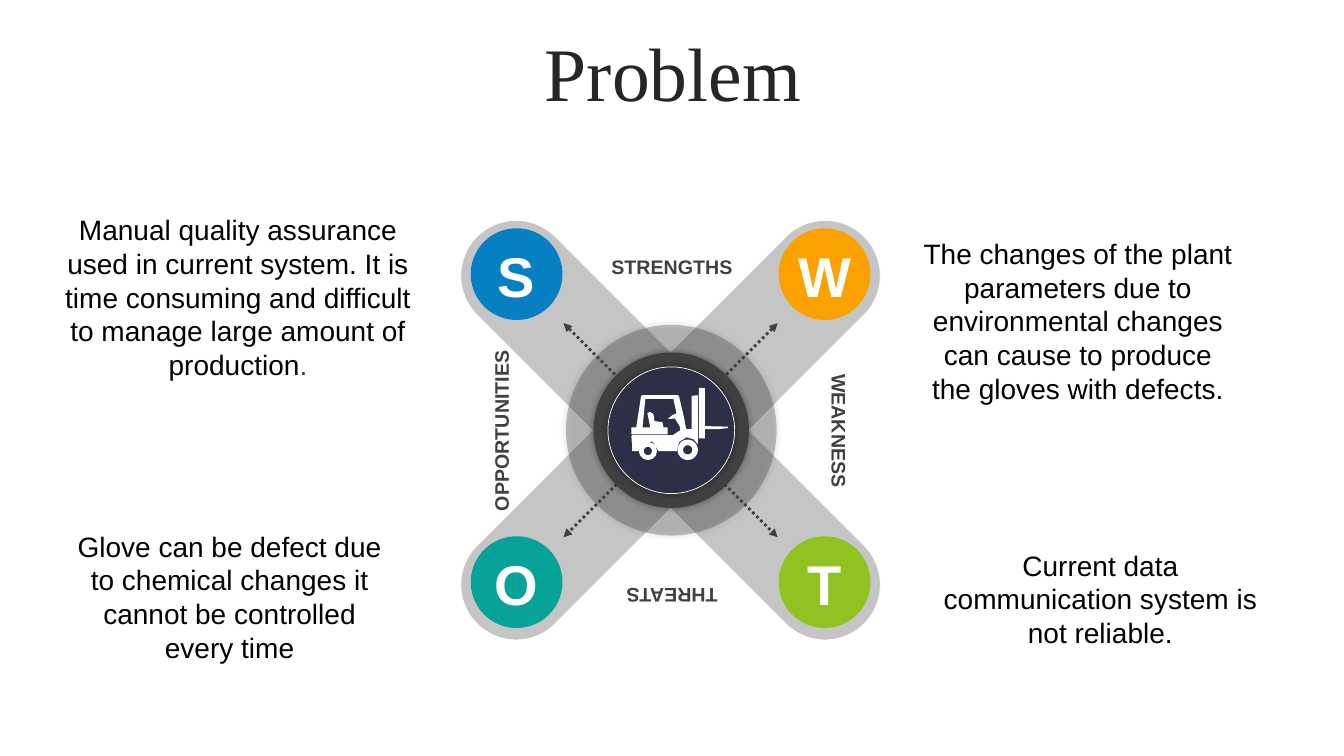
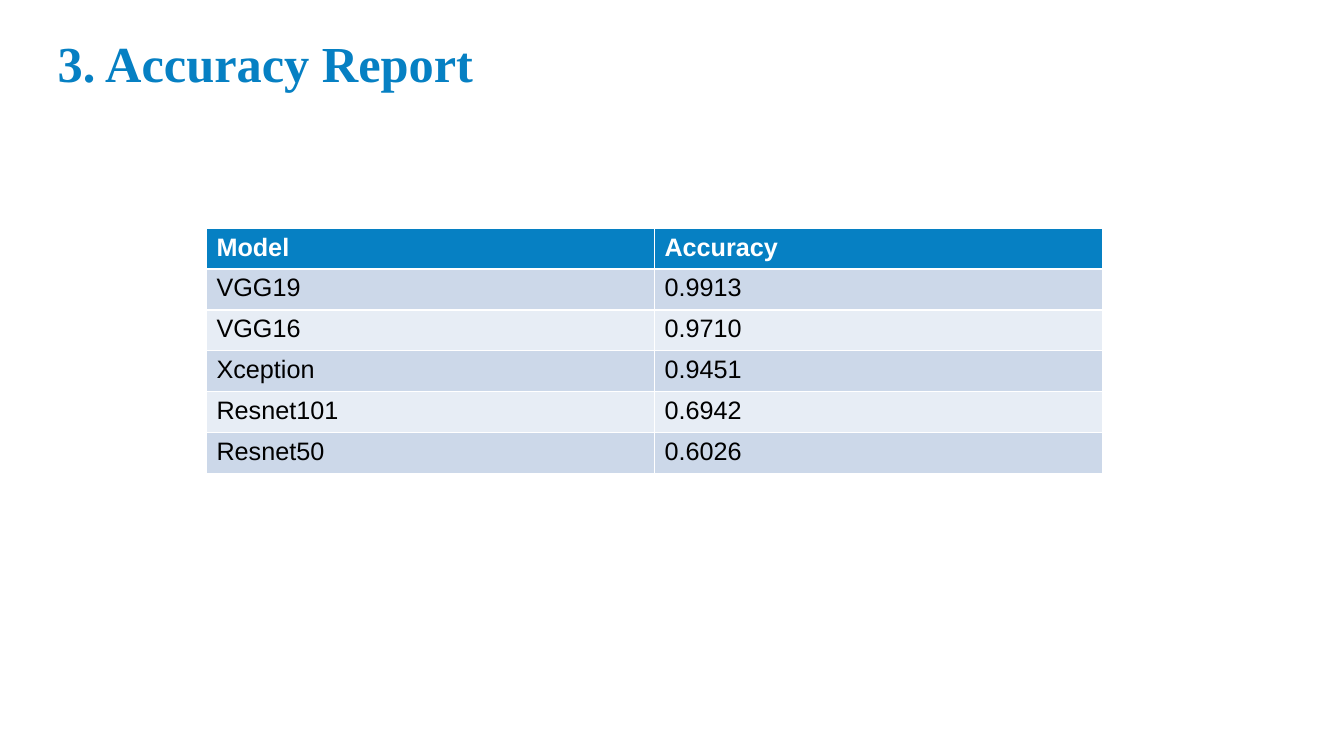
from dataclasses import dataclass

from lxml import etree
from pptx import Presentation
from pptx.dml.color import RGBColor
from pptx.enum import dml, shapes, text
from pptx.oxml import ns
from pptx.util import Pt


@dataclass(frozen=True)
class Theme:
    heading: str = "Times New Roman"
    body: str = "Arial"
    white: str = "FFFFFF"
    black: str = "000000"
    ink: str = "262626"
    grey: str = "404040"
    navy: str = "2C2F45"
    blue: str = "0680C3"
    orange: str = "FBA200"
    teal: str = "07A398"
    green: str = "90C221"
    band_dark: str = "CCD8E9"
    band_light: str = "E7EDF5"
    title_size: int = 54
    section_size: int = 36
    letter_size: int = 40
    note_size: int = 20
    cell_size: int = 18
    label_size: int = 14


THEME = Theme()
SLIDE_SIZE = (960, 540)
TITLE_SIZE = (911.5, 57)
HUB = (479, 307.3)

LETTERS = [
    ("S", THEME.blue, -1, -1),
    ("W", THEME.orange, 1, -1),
    ("O", THEME.teal, -1, 1),
    ("T", THEME.green, 1, 1),
]
LABELS = [
    ("STRENGTHS", 0, 1, -30),
    ("WEAKNESS", 90, 33.5, 0.5),
    ("OPPORTUNITIES", 270, -34, 0.5),
    ("THREATS", 180, 1, 31.5),
]
NOTES = [
    ((43, 374.5, 242, 104.5),
     [("Glove can be defect due to chemical changes it cannot be controlled every time", THEME.black)]),
    ((31, 148.5, 278, 127.5),
     [("Manual quality assurance used in current system. It is time consuming and difficult "
       "to manage large amount of production", THEME.black), (".", THEME.grey)]),
    ((665, 388, 242, 80),
     [("Current data communication system is not reliable.", THEME.black)]),
    ((651.5, 165.5, 237, 128),
     [("The changes of the plant parameters due to environmental changes can cause to produce "
       "the gloves with defects.", THEME.black)]),
]
TRUCK_BODY = [
    (-28, -2), (-24.5, -2), (-21, -24.5), (-20, -25), (5, -25), (6, -24.5),
    (9.5, -9.5), (11, -1.5), (11.5, -0.7), (15, -1), (15, -24.5), (19.5, -25),
    (19.5, 10), (16.5, 6.5), (11.5, 5), (6, 8.5), (4.5, 15), (-8.5, 15),
    (-13, 8), (-20, 9.5), (-23, 15), (-27.5, 15), (-27.5, 10), (-28, 4.3),
    (-27.5, 3.6), (1.5, 3.6), (7, 0), (6.5, -3), (3, -8.5), (0, -8),
    (-1.5, -8), (-1.5, -8.6), (1.5, -10.8), (4.3, -12.2), (2, -22.3),
    (-18, -22.3), (-20, -2), (-14.5, -2), (-16.5, -12.2), (-14.5, -13),
    (-12.2, -11.5), (-11.5, -6.5), (-5.8, -5.8), (-5, -2), (-2, -2),
    (-2, 2.9), (-28, 2.9),
]
TRUCK_MAST = [
    (20.2, -30.2), (24.5, -30.2), (24.5, -2.9), (41, -2.5), (41, -1.5),
    (34, -0.7), (24.5, -0.7), (24.5, 5.8), (20.2, 5.8),
]
TRUCK_WHEELS = [(12.2, 14, 14.6), (-16.2, 14.8, 13)]
ACCURACY = [
    ("Model", "Accuracy"),
    ("VGG19", "0.9913"),
    ("VGG16", "0.9710"),
    ("Xception", "0.9451"),
    ("Resnet101", "0.6942"),
    ("Resnet50", "0.6026"),
]


def rgb(value):
    return RGBColor.from_string(value)


def add_run(paragraph, words, size, color, bold=False, font=THEME.body):
    run = paragraph.add_run()
    run.text = words
    run.font.name, run.font.size, run.font.bold = font, Pt(size), bold
    run.font.color.rgb = rgb(color)


def add_title(slide, words, left, top, size, color, align, bold=False):
    title = slide.shapes.title
    title.left, title.top = Pt(left), Pt(top)
    title.width, title.height = map(Pt, TITLE_SIZE)
    frame = title.text_frame
    frame.auto_size = text.MSO_AUTO_SIZE.NONE
    frame.vertical_anchor = text.MSO_ANCHOR.MIDDLE
    paragraph = frame.paragraphs[0]
    paragraph.alignment, paragraph.line_spacing = align, 0.9
    add_run(paragraph, words, size, color, bold, THEME.heading)


def add_text(slide, box, runs, size, bold=False, rotation=0):
    holder = slide.shapes.add_textbox(*map(Pt, box))
    holder.rotation = rotation
    holder.text_frame.word_wrap = True
    paragraph = holder.text_frame.paragraphs[0]
    paragraph.alignment = text.PP_ALIGN.CENTER
    for words, color in runs:
        add_run(paragraph, words, size, color, bold)


def set_fill(part, color, opacity=100):
    part.fill.solid()
    part.fill.fore_color.rgb = rgb(color)
    if opacity < 100:
        solid = part.fill._xPr.find(ns.qn("a:solidFill"))
        etree.SubElement(solid[0], ns.qn("a:alpha"), val=str(opacity * 1000))


def paint(part, color, opacity=100, outline=None, glow=False):
    part.shadow.inherit = False
    set_fill(part, color, opacity)
    if outline:
        part.line.color.rgb = rgb(outline)
        part.line.width = Pt(0.5)
    else:
        part.line.fill.background()
    if glow:
        effects = part._element.spPr.find(ns.qn("a:effectLst"))
        shadow = etree.SubElement(effects, ns.qn("a:outerShdw"), blurRad=str(Pt(5)), dist="0", dir="0")
        black = etree.SubElement(shadow, ns.qn("a:srgbClr"), val=THEME.black)
        etree.SubElement(black, ns.qn("a:alpha"), val="40000")


def add_centred(slide, kind, x, y, width, height, color, **look):
    part = slide.shapes.add_shape(kind, Pt(x - width / 2), Pt(y - height / 2), Pt(width), Pt(height))
    paint(part, color, **look)
    return part


def add_double_arrow(slide, start, end):
    arrow = slide.shapes.add_connector(shapes.MSO_CONNECTOR.STRAIGHT, *map(Pt, start + end))
    arrow.line.color.rgb = rgb(THEME.grey)
    arrow.line.width = Pt(2)
    arrow.line.dash_style = dml.MSO_LINE.ROUND_DOT
    outline = arrow.line._get_or_add_ln()
    for tip in ("a:headEnd", "a:tailEnd"):
        etree.SubElement(outline, ns.qn(tip), type="triangle")
    etree.SubElement(arrow._element.spPr, ns.qn("a:effectLst"))


def add_truck(slide):
    x, y = HUB
    for outline in (TRUCK_BODY, TRUCK_MAST):
        points = [(Pt(x + dx), Pt(y + dy)) for dx, dy in outline]
        builder = slide.shapes.build_freeform(*points[0])
        builder.add_line_segments(points[1:], close=True)
        paint(builder.convert_to_shape(), THEME.white)
    for dx, dy, size in TRUCK_WHEELS:
        wheel = add_centred(slide, shapes.MSO_SHAPE.DONUT, x + dx, y + dy, size, size, THEME.white)
        wheel.adjustments[0] = 0.27


def build_problem(slide):
    add_title(slide, "Problem", 25, 26.5, THEME.title_size, THEME.ink, text.PP_ALIGN.CENTER)
    x, y = HUB
    width, height = 220, 198
    for words, rotation, dx, dy in LABELS:
        box = (x + dx - width / 2, y + dy - height / 2, width, height)
        add_text(slide, box, [(words, THEME.grey)], THEME.label_size, True, rotation)

    for rotation in (45, 315):
        arm = add_centred(slide, shapes.MSO_SHAPE.ROUNDED_RECTANGLE, x, y, 79, 391,
                          THEME.grey, opacity=30, outline=THEME.white)
        arm.adjustments[0] = 0.5
        arm.rotation = rotation

    oval = shapes.MSO_SHAPE.OVAL
    add_centred(slide, oval, x + 0.5, y, 150.5, 150.5, THEME.grey, opacity=30, glow=True)
    reach = 76.5
    for side in (-1, 1):
        add_double_arrow(slide, (x + side * reach, y - reach), (x - side * reach, y + reach))
    add_centred(slide, oval, x + 0.5, y, 111, 111, THEME.grey, glow=True)
    add_centred(slide, oval, x + 0.5, y, 90.5, 90.5, THEME.navy, outline=THEME.white, glow=True)

    for box, runs in NOTES:
        add_text(slide, box, runs, THEME.note_size)

    for letter, color, across, down in LETTERS:
        disc = add_centred(slide, oval, x + across * 110, y - 1.5 + down * 110, 65.5, 65.5, color)
        frame = disc.text_frame
        frame.margin_left = frame.margin_right = frame.margin_bottom = 0
        frame.margin_top = Pt(2)
        frame.word_wrap = False
        frame.vertical_anchor = text.MSO_ANCHOR.MIDDLE
        frame.paragraphs[0].alignment = text.PP_ALIGN.CENTER
        add_run(frame.paragraphs[0], letter, THEME.letter_size, THEME.white, True)
    add_truck(slide)


def build_accuracy(slide):
    add_title(slide, "3. Accuracy Report", 34, 18.5, THEME.section_size, THEME.blue,
              text.PP_ALIGN.LEFT, True)
    row_height = 29.2
    box = (147.5, 163, 640, row_height * len(ACCURACY))
    table = slide.shapes.add_table(len(ACCURACY), len(ACCURACY[0]), *map(Pt, box)).table
    for index, values in enumerate(ACCURACY):
        table.rows[index].height = Pt(row_height)
        header = index == 0
        band = THEME.band_dark if index % 2 else THEME.band_light
        for column, value in enumerate(values):
            cell = table.cell(index, column)
            set_fill(cell, THEME.blue if header else band)
            add_run(cell.text_frame.paragraphs[0], value, THEME.cell_size,
                    THEME.white if header else THEME.black, header)


def main():
    deck = Presentation()
    deck.slide_width, deck.slide_height = map(Pt, SLIDE_SIZE)
    for build in (build_problem, build_accuracy):
        build(deck.slides.add_slide(deck.slide_layouts[5]))
    deck.save("out.pptx")


if __name__ == "__main__":
    main()
